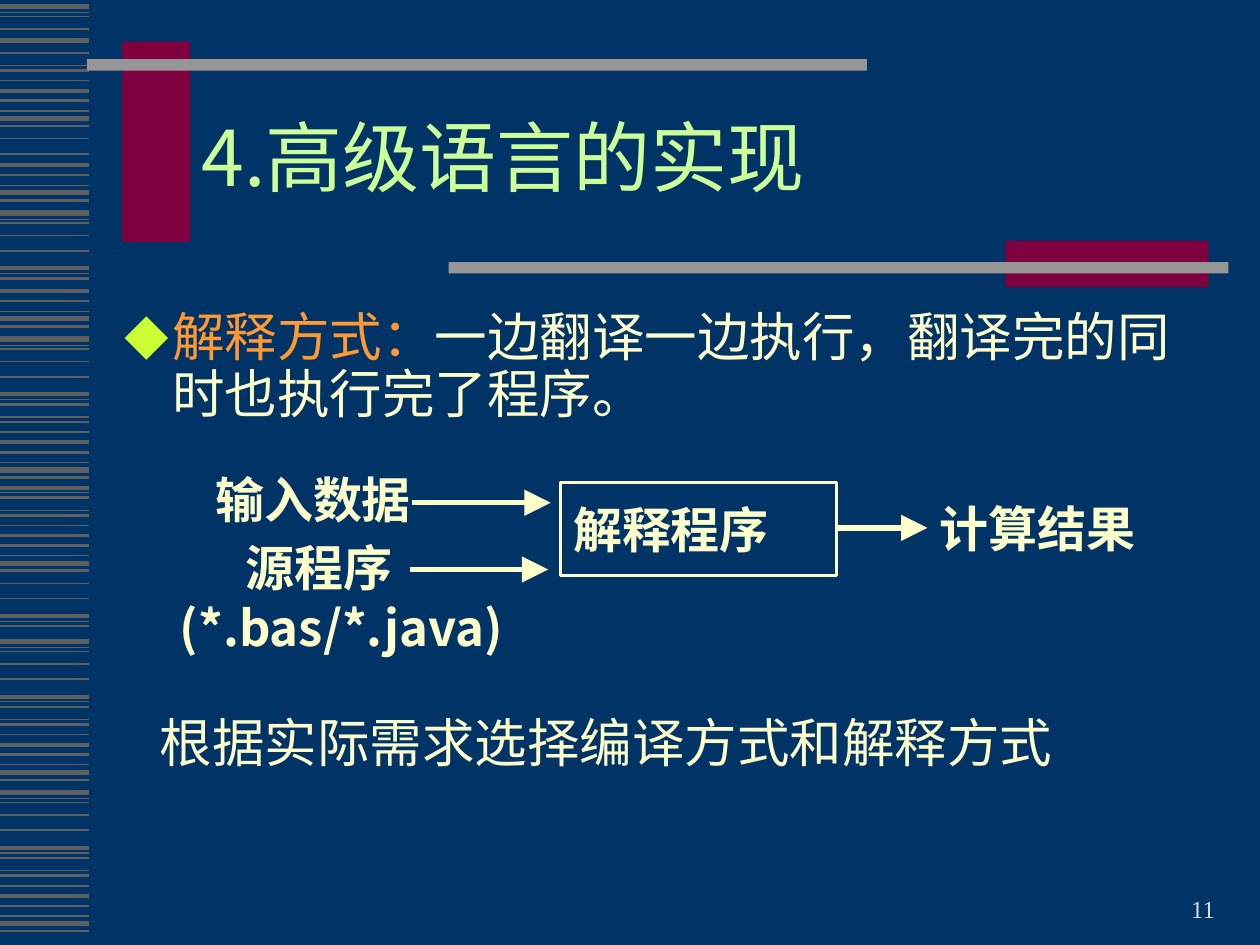
from dataclasses import dataclass
from typing import NamedTuple

from lxml.etree import SubElement
from pptx import Presentation
from pptx.dml.color import RGBColor
from pptx.enum.shapes import MSO_CONNECTOR as Connector, MSO_SHAPE as Preset
from pptx.enum.text import MSO_ANCHOR as Anchor, PP_ALIGN as Align
from pptx.oxml.ns import qn
from pptx.util import Inches, Pt

COLUMNS, ROWS = 100, 75
SLIDE_WIDTH, SLIDE_HEIGHT = Inches(10), Inches(7.5)


@dataclass(frozen=True)
class Theme:
    background: str = "003366"
    stripe: str = "5F5F5F"
    block: str = "7E003F"
    bar: str = "969696"
    title: str = "CCFF99"
    text: str = "FFFFCC"
    accent: str = "FF9933"
    bullet: str = "CCFF33"
    number: str = "DDDDDD"
    font: str = "Noto Sans CJK SC"
    number_font: str = "Times New Roman"
    title_size: float = 44
    body_size: float = 30
    label_size: float = 28
    number_size: float = 14
    bullet_percent: int = 85


class Area(NamedTuple):
    column: float
    row: float
    columns: float
    rows: float


class Style(NamedTuple):
    size: float
    color: str
    bold: bool = False
    font: str = Theme.font


class Stripe(NamedTuple):
    offset: float
    weight: float


class Stretch(NamedTuple):
    origin: float
    first: int = 0
    last: int = 16


class Label(NamedTuple):
    text: str
    area: Area


class Line(NamedTuple):
    start: tuple[float, float]
    end: tuple[float, float]


THEME = Theme()
TITLE = Style(THEME.title_size, THEME.title)
BODY = Style(THEME.body_size, THEME.text)
TERM = Style(THEME.body_size, THEME.accent)
LABEL = Style(THEME.label_size, THEME.text, True)
NUMBER = Style(THEME.number_size, THEME.number, font=THEME.number_font)

MOTIF = [Stripe(*pair) for pair in (
    (0, 3), (0.5, 0.75), (0.8, 1), (1.8, 1), (3, 1), (4.4, 2.25),
    (4.8, 0.75), (5.2, 1.5), (6.2, 0.75), (6.6, 1.5), (7.4, 1),
    (8.2, 2.25), (9, 1.5), (9.8, 0.75), (10.4, 3), (11, 1.5))]
STRETCHES = [
    Stretch(0.5, 0, 4), Stretch(3.2, 0, 1), Stretch(-1, 7), Stretch(9.2, 3, 5),
    Stretch(4.9, 11), Stretch(16.9, 0, 8), Stretch(14.9, 11), Stretch(26.9),
    Stretch(34.3, 5), Stretch(44.5, 3, 8), Stretch(50.9), Stretch(62.9)]
STRIPE_COLUMNS = 7.1

BLOCKS = [Area(9.7, 3.3, 5.4, 15.9), Area(79.8, 19.1, 16.1, 3.7)]
BARS = [Area(6.9, 4.7, 61.9, 0.9), Area(35.6, 20.8, 61.9, 0.9)]
INTERPRETER = Label("解释程序", Area(44.5, 38.3, 21.9, 7.4))
LABELS = [
    Label("输入数据", Area(16.1, 36.8, 18, 5.7)),
    Label("源程序", Area(18.5, 42.2, 14, 5.7)),
    Label("(*.bas/*.java)", Area(13.3, 46.9, 33.6, 5.7)),
    Label("计算结果", Area(73.6, 39.1, 18, 5.7))]
ARROWS = [
    Line((32.7, 39.9), (43.7, 39.9)),
    Line((32.5, 45.2), (43.5, 45.2)),
    Line((66.4, 41.9), (73.6, 41.9))]


def across(columns: float) -> int:
    return round(SLIDE_WIDTH * columns / COLUMNS)


def down(rows: float) -> int:
    return round(SLIDE_HEIGHT * rows / ROWS)


def place(area: Area) -> tuple[int, int, int, int]:
    return across(area.column), down(area.row), across(area.columns), down(area.rows)


def color(value: str) -> RGBColor:
    return RGBColor.from_string(value)


def add_line(shapes, line: Line, stroke: str, weight: float, arrow: bool = False) -> None:
    connector = shapes.add_connector(
        Connector.STRAIGHT, across(line.start[0]), down(line.start[1]),
        across(line.end[0]), down(line.end[1]))
    connector.line.color.rgb = color(stroke)
    connector.line.width = Pt(weight)
    if arrow:
        SubElement(connector.line._get_or_add_ln(), qn("a:tailEnd"),
                   type="triangle", w="lg", len="lg")
    SubElement(connector._element.spPr, qn("a:effectLst"))


def add_rectangle(shapes, area: Area, fill: str):
    shape = shapes.add_shape(Preset.RECTANGLE, *place(area))
    shape.shadow.inherit = False
    shape.fill.solid()
    shape.fill.fore_color.rgb = color(fill)
    shape.line.fill.background()
    return shape


def add_run(paragraph, text: str, style: Style) -> None:
    run = paragraph.add_run()
    run.text = text
    font = run.font
    font.name, font.size, font.bold = style.font, Pt(style.size), style.bold
    font.color.rgb = color(style.color)
    SubElement(run._r.get_or_add_rPr(), qn("a:ea"), typeface=style.font)


def write(shape, runs: list[tuple[str, Style]], anchor=Anchor.TOP,
          align=Align.LEFT, spacing: float = 1):
    frame = shape.text_frame
    frame.word_wrap = True
    frame.vertical_anchor = anchor
    paragraph = frame.paragraphs[0]
    paragraph.alignment = align
    paragraph.line_spacing = spacing
    for text, style in runs:
        add_run(paragraph, text, style)
    return paragraph


def add_text(shapes, area: Area, runs: list[tuple[str, Style]], **layout):
    return write(shapes.add_textbox(*place(area)), runs, **layout)


def add_bullet(paragraph, symbol: str) -> None:
    properties = paragraph._p.get_or_add_pPr()
    indent = across(3.8)
    properties.set("marL", str(indent))
    properties.set("indent", str(-indent))
    bullet_color = SubElement(properties, qn("a:buClr"))
    SubElement(bullet_color, qn("a:srgbClr"), val=THEME.bullet)
    SubElement(properties, qn("a:buSzPct"), val=str(THEME.bullet_percent * 1000))
    SubElement(properties, qn("a:buFont"), typeface=THEME.font)
    SubElement(properties, qn("a:buChar"), char=symbol)


def draw_backdrop(slide) -> None:
    slide.background.fill.solid()
    slide.background.fill.fore_color.rgb = color(THEME.background)
    for stretch in STRETCHES:
        for stripe in MOTIF[stretch.first:stretch.last]:
            row = stretch.origin + stripe.offset
            add_line(slide.shapes, Line((0, row), (STRIPE_COLUMNS, row)),
                     THEME.stripe, stripe.weight)
    for block, bar in zip(BLOCKS, BARS):
        add_rectangle(slide.shapes, block, THEME.block)
        add_rectangle(slide.shapes, bar, THEME.bar)


def draw_text(shapes) -> None:
    add_text(shapes, Area(73.4, 68.8, 24, 5), [("11", NUMBER)],
             anchor=Anchor.BOTTOM, align=Align.RIGHT)
    add_text(shapes, Area(15, 6.7, 80.7, 12.5), [("4.高级语言的实现", TITLE)],
             anchor=Anchor.MIDDLE, spacing=0.85)
    definition = add_text(
        shapes, Area(8.9, 24.2, 87, 11),
        [("解释方式：", TERM), ("一边翻译一边执行，翻译完的同时也执行完了程序。", BODY)],
        spacing=0.9)
    add_bullet(definition, "◆")
    add_text(shapes, Area(11.7, 56.4, 84.2, 6),
             [("根据实际需求选择编译方式和解释方式", BODY)], spacing=0.9)


def draw_flow(shapes) -> None:
    box = add_rectangle(shapes, INTERPRETER.area, THEME.background)
    box.line.color.rgb = color(THEME.text)
    box.line.width = Pt(2)
    write(box, [(INTERPRETER.text, LABEL)], anchor=Anchor.MIDDLE)
    for label in LABELS:
        add_text(shapes, label.area, [(label.text, LABEL)])
    for arrow in ARROWS:
        add_line(shapes, arrow, THEME.text, 3, arrow=True)


def main() -> None:
    presentation = Presentation()
    presentation.slide_width, presentation.slide_height = SLIDE_WIDTH, SLIDE_HEIGHT
    slide = presentation.slides.add_slide(presentation.slide_layouts[6])
    draw_backdrop(slide)
    draw_text(slide.shapes)
    draw_flow(slide.shapes)
    presentation.save("out.pptx")


if __name__ == "__main__":
    main()
